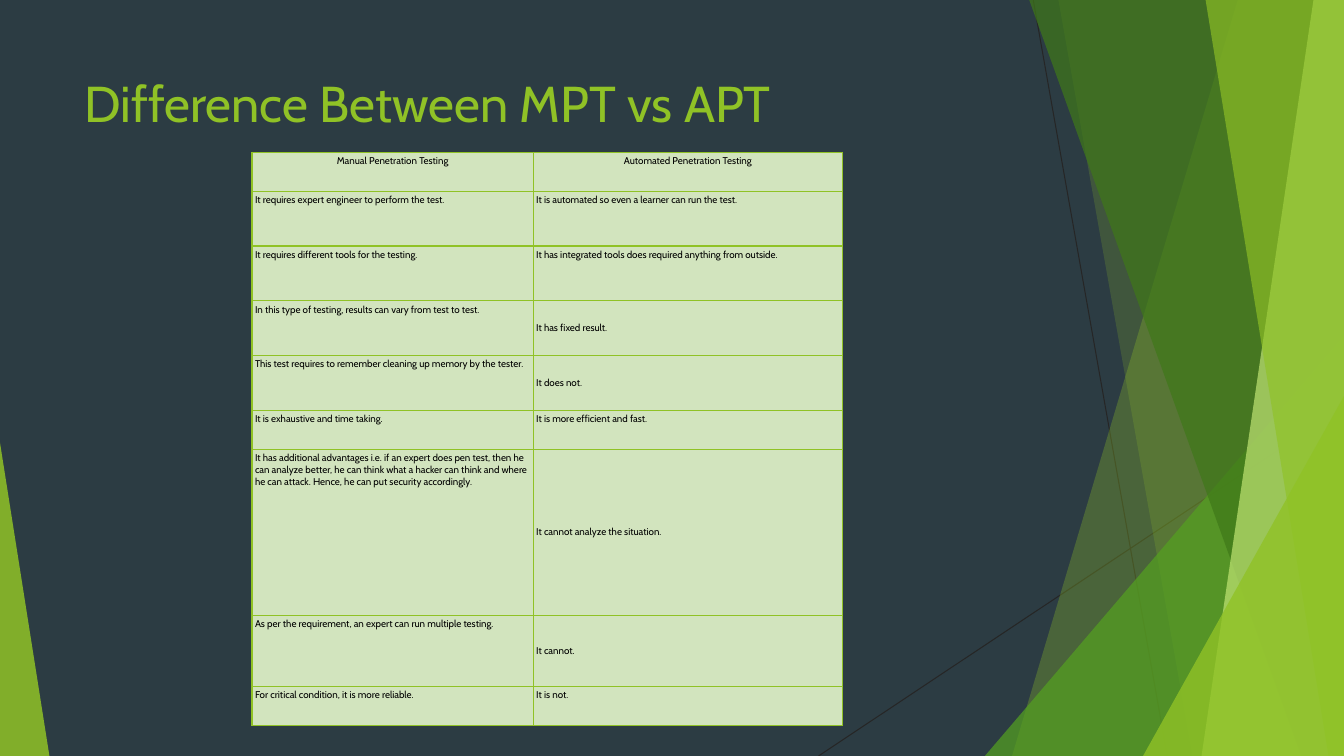
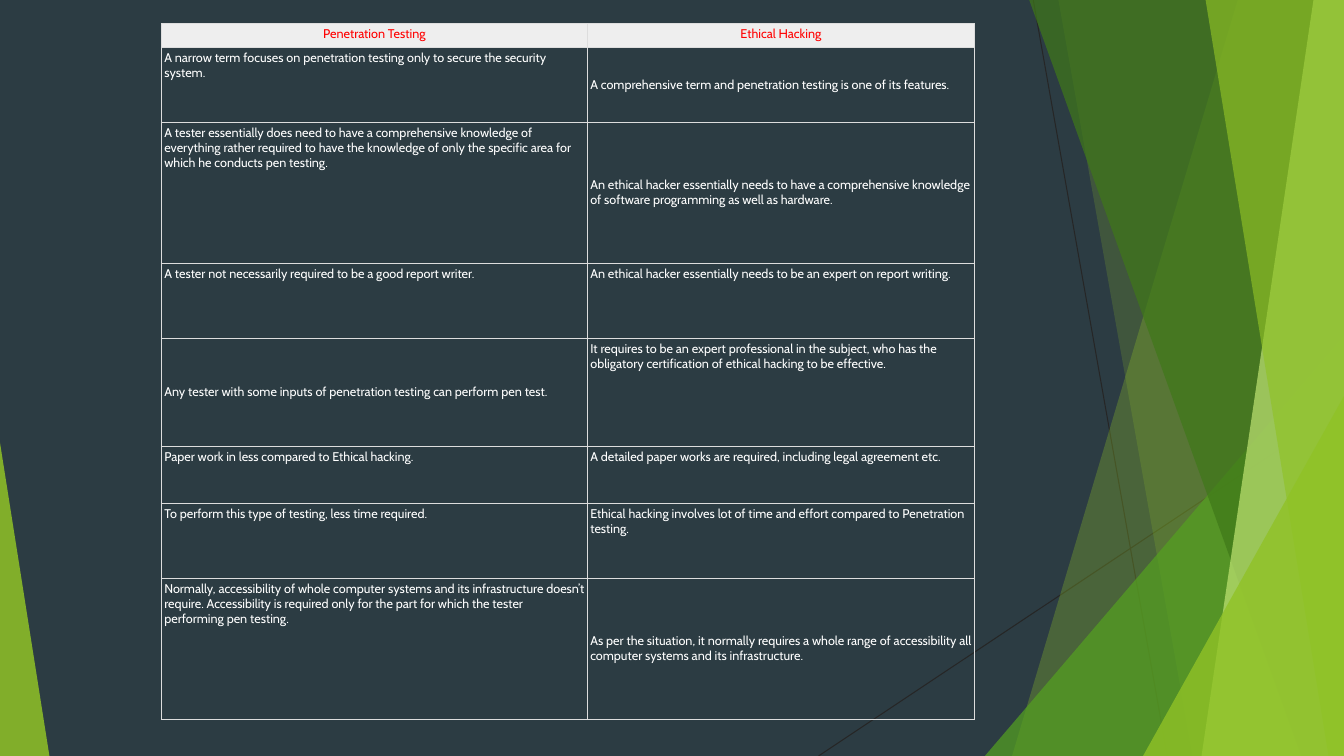
"""Build two slides that compare kinds of security testing."""
import lxml.etree
import pptx
import pptx.dml.color
import pptx.enum.shapes
import pptx.enum.text
import pptx.oxml.ns
import pptx.util

WIDE, HIGH = pptx.util.Inches(13.33), pptx.util.Inches(7.5)
FONT = "Cabin"
HUES = {
    "back": "2C3C43", "line": "262626", "lime": "90C226", "green": "54A021",
    "dark": "3F7819", "pale": "C0E474", "mint": "D2E4BE", "black": "000000",
    "white": "FFFFFF", "red": "FF0000", "grey": "EEEEEE", "rule": "DDDDDD",
}
WIRES = [(76.88, 0, 86.85, 100), (100, 53.73, 60.9, 100)]
BANDS = [
    ("band", 92.1, 75.3, "lime", 30),
    ("band", 78.75, 88.73, "lime", 20),
    ("wedge", (73.28, 44.4, 26.72), 1, "green", 72),
    ("band", 76.58, 96.83, "dark", 70),
    ("band", 97.73, 89.4, "pale", 70),
    ("band", 89.7, 98.85, "lime", 65),
    ("wedge", (85.05, 52.4, 14.95), 1, "lime", 80),
    ("wedge", (0, 58.53, 3.68), 0, "lime", 85),
]
MODES = {
    "place": (18.75, 20.13), "cols": (20.92, 23.02), "size": 7,
    "head": ("black", "mint"), "body": ("black", "mint"), "rule": ("lime", 1),
    "rows": [
        (5.17, "Manual Penetration Testing", "Automated Penetration Testing", None),
        (7.24, "It requires expert engineer to perform the test.",
         "It is automated so even a learner can run the test.", None),
        (7.24, "It requires different tools for the testing.",
         "It has integrated tools does required anything from outside.", None),
        (7.24, "In this type of testing, results can vary from test to test.",
         "It has fixed result.", 1),
        (7.24, "This test requires to remember cleaning up memory by the tester.",
         "It does not.", 1),
        (5.17, "It is exhaustive and time taking.", "It is more efficient and fast.", None),
        (22, "It has additional advantages i.e. if an expert does pen test, then he can "
         "analyze better, he can think what a hacker can think and where he can attack. "
         "Hence, he can put security accordingly.",
         "It cannot analyze the situation.", 1),
        (9.4, "As per the requirement, an expert can run multiple testing.", "It cannot.", 1),
        (5.17, "For critical condition, it is more reliable.", "It is not.", None),
    ],
}
FIELDS = {
    "place": (12, 3.1), "cols": (31.7, 28.8), "size": 9,
    "head": ("red", "grey"), "body": ("white", None), "rule": ("rule", 0.6),
    "rows": [
        (3.17, "Penetration Testing", "Ethical Hacking", None),
        (9.89, "A narrow term focuses on penetration testing only to secure the security system.",
         "A comprehensive term and penetration testing is one of its features.", 1),
        (18.67, "A tester essentially does need to have a comprehensive knowledge of everything "
         "rather required to have the knowledge of only the specific area for which he "
         "conducts pen testing.",
         "An ethical hacker essentially needs to have a comprehensive knowledge of software "
         "programming as well as hardware.", 1),
        (9.89, "A tester not necessarily required to be a good report writer.",
         "An ethical hacker essentially needs to be an expert on report writing.", None),
        (14.28, "Any tester with some inputs of penetration testing can perform pen test.",
         "It requires to be an expert professional in the subject, who has the obligatory "
         "certification of ethical hacking to be effective.", 0),
        (7.6, "Paper work in less compared to Ethical hacking.",
         "A detailed paper works are required, including legal agreement etc.", None),
        (9.89, "To perform this type of testing, less time required.",
         "Ethical hacking involves lot of time and effort compared to Penetration testing.", None),
        (18.67, "Normally, accessibility of whole computer systems and its infrastructure "
         "doesn’t require. Accessibility is required only for the part for which the tester "
         "performing pen testing.",
         "As per the situation, it normally requires a whole range of accessibility all "
         "computer systems and its infrastructure.", 1),
    ],
}


def across(share):
    """Turn a percentage of the slide's width into a length."""
    return pptx.util.Emu(round(WIDE * share / 100))


def down(share):
    """Turn a percentage of the slide's height into a length."""
    return pptx.util.Emu(round(HIGH * share / 100))


def tint(name):
    """Look up a named colour."""
    return pptx.dml.color.RGBColor.from_string(HUES[name])


def apply(thing, form):
    """Set each format value on an object."""
    for key, value in form.items():
        setattr(thing, key, value)


def node(root, tag, **marks):
    """Add a drawing element with its attributes."""
    return lxml.etree.SubElement(root, pptx.oxml.ns.qn(tag), marks)


def paint(fill, name):
    """Fill with a named colour, or leave clear."""
    if name:
        fill.solid()
        fill.fore_color.rgb = tint(name)
    else:
        fill.background()


def write(frame, text, size, name, align=None):
    """Put one styled paragraph in a text frame."""
    para = frame.paragraphs[0]
    para.alignment = align
    run = para.add_run()
    run.text = text
    apply(run.font, {"name": FONT, "size": pptx.util.Pt(size), "bold": False})
    run.font.color.rgb = tint(name)


def wire(slide, ends):
    """Draw a thin line between two points."""
    x, y, to_x, to_y = ends
    link = slide.shapes.add_connector(
        pptx.enum.shapes.MSO_CONNECTOR.STRAIGHT,
        across(x), down(y), across(to_x), down(to_y))
    link.line.width = pptx.util.Pt(0.75)
    link.line.color.rgb = tint("line")
    node(link.element.spPr, "a:effectLst")


def band(slide, top, base):
    """Draw a slanted band that reaches the right edge."""
    pen = slide.shapes.build_freeform(across(top), 0)
    pen.add_line_segments([(WIDE, 0), (WIDE, HIGH), (across(base), HIGH)])
    return pen.convert_to_shape()


def wedge(slide, place, peak):
    """Draw a triangle that stands on the bottom edge."""
    x, y, width = place
    shape = slide.shapes.add_shape(
        pptx.enum.shapes.MSO_SHAPE.ISOSCELES_TRIANGLE,
        across(x), down(y), across(width), down(100 - y))
    shape.adjustments[0] = peak
    return shape


def decor(slide):
    """Draw the lines and clear green planes."""
    for ends in WIRES:
        wire(slide, ends)
    makers = {"band": band, "wedge": wedge}
    for kind, first, second, name, dense in BANDS:
        shape = makers[kind](slide, first, second)
        shape.shadow.inherit = False
        shape.line.fill.background()
        paint(shape.fill, name)
        hue = shape.element.spPr.find(".//" + pptx.oxml.ns.qn("a:srgbClr"))
        node(hue, "a:alpha", val=str(dense * 1000))


def title(slide, text):
    """Write the slide's title."""
    box = slide.shapes.add_textbox(across(5.55), down(8.93), across(70.5), down(9.33))
    apply(box.text_frame, {
        "word_wrap": True, "vertical_anchor": pptx.enum.text.MSO_ANCHOR.MIDDLE})
    write(box.text_frame, text, 36, "lime")


def border(frame, name, width):
    """Rule all four sides of each cell."""
    for props in frame.element.iter(pptx.oxml.ns.qn("a:tcPr")):
        for spot, side in enumerate("LRTB"):
            line = node(props, "a:ln" + side, w=str(pptx.util.Pt(width)))
            node(node(line, "a:solidFill"), "a:srgbClr", val=HUES[name])
            props.insert(spot, line)


def grid(slide, data):
    """Build a two-column table from its data."""
    rows, cols = data["rows"], data["cols"]
    x, y = data["place"]
    frame = slide.shapes.add_table(
        len(rows), len(cols), across(x), down(y),
        across(sum(cols)), down(sum(row[0] for row in rows)))
    table = frame.table
    apply(table, {"first_row": False, "horz_banding": False})
    for col, width in zip(table.columns, cols):
        col.width = across(width)
    inset = pptx.util.Inches(0.03)
    sides = ("left", "right", "top", "bottom")
    anchor = pptx.enum.text.MSO_ANCHOR
    for r, (height, *texts, mid) in enumerate(rows):
        table.rows[r].height = down(height)
        ink, back = data["body"] if r else data["head"]
        align = None if r else pptx.enum.text.PP_ALIGN.CENTER
        for c, text in enumerate(texts):
            cell = table.cell(r, c)
            apply(cell, {"margin_" + side: inset for side in sides})
            cell.vertical_anchor = anchor.MIDDLE if c == mid else anchor.TOP
            paint(cell.fill, back)
            write(cell.text_frame, text, data["size"], ink, align)
    border(frame, *data["rule"])


def main():
    """Make the deck and save it."""
    deck = pptx.Presentation()
    apply(deck, {"slide_width": WIDE, "slide_height": HIGH})
    paint(deck.slide_master.background.fill, "back")
    for head, data in [("Difference Between MPT vs APT", MODES), (None, FIELDS)]:
        slide = deck.slides.add_slide(deck.slide_layouts[6])
        decor(slide)
        if head:
            title(slide, head)
        grid(slide, data)
    deck.save("out.pptx")


if __name__ == "__main__":
    main()
